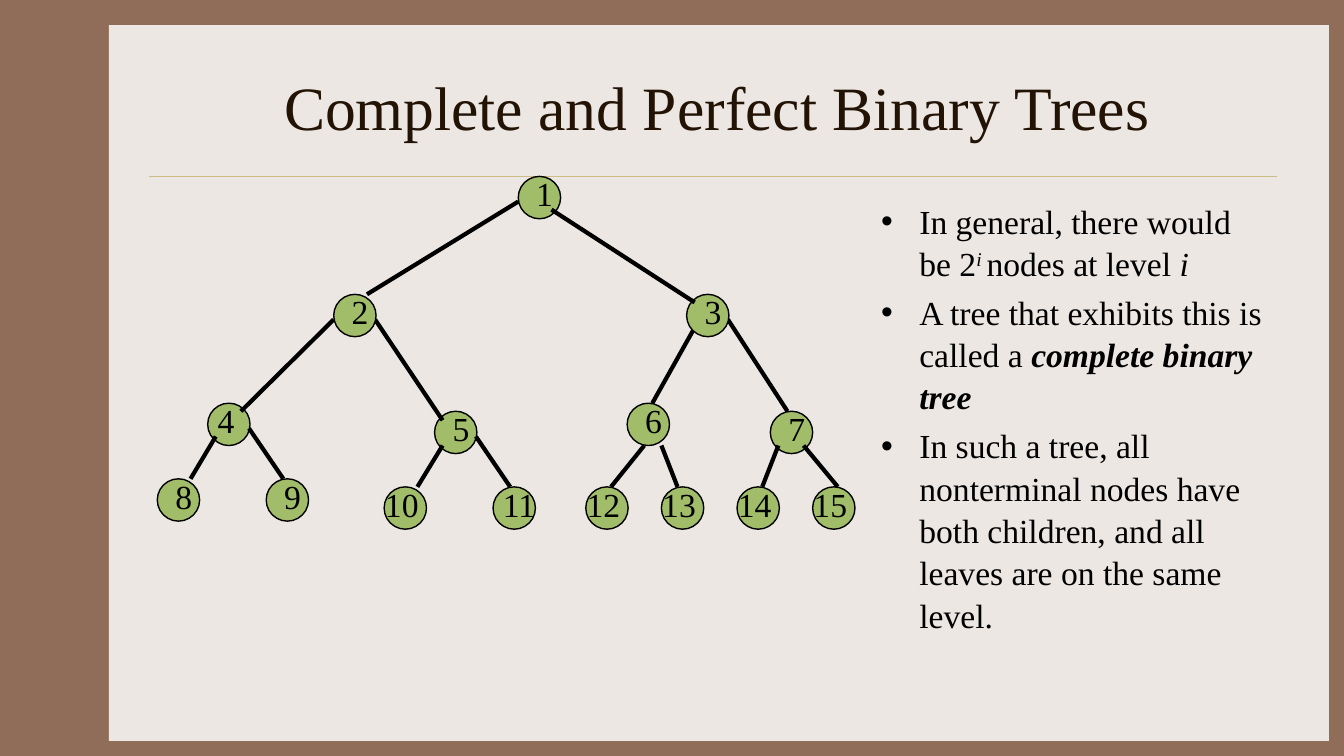
from lxml.etree import SubElement
from pptx import Presentation
from pptx.dml.color import RGBColor
from pptx.enum.shapes import MSO_CONNECTOR as LINE, MSO_SHAPE as SHAPE
from pptx.enum.text import MSO_ANCHOR as ANCHOR, PP_ALIGN as ALIGN
from pptx.oxml.ns import qn
from pptx.util import Inches, Pt

BROWN = RGBColor(0x90, 0x6D, 0x58)
CREAM = RGBColor(0xED, 0xE7, 0xE3)
GOLD = RGBColor(0xCB, 0xBD, 0x83)
DARK = RGBColor(0x22, 0x13, 0x04)
GREEN = RGBColor(0xA1, 0xBD, 0x69)
BLACK = RGBColor(0, 0, 0)
FONT = "Times New Roman"
SIZE = 0.42

# Left and top of each circle, by node number
NODES = {
    1: (5.14, 1.75), 2: (3.31, 2.92), 3: (6.81, 2.92),
    4: (2.06, 4), 5: (4.31, 4.08), 6: (6.22, 4), 7: (7.64, 4.08),
    8: (1.56, 4.75), 9: (2.64, 4.75), 10: (3.81, 4.83), 11: (4.89, 4.83),
    12: (5.81, 4.83), 13: (6.56, 4.83), 14: (7.31, 4.83), 15: (8.06, 4.83),
}
# Start and end of the edge that leads to each child node
EDGES = {
    2: (5.14, 2, 3.64, 2.92), 3: (5.47, 2.08, 6.89, 3),
    4: (3.31, 3.17, 2.39, 4.08), 5: (3.72, 3.17, 4.39, 4.17),
    6: (6.89, 3.25, 6.47, 4), 7: (7.22, 3.17, 7.81, 4.08),
    8: (2.14, 4.33, 1.89, 4.75), 9: (2.47, 4.25, 2.81, 4.75),
    10: (4.39, 4.42, 4.14, 4.83), 11: (4.72, 4.33, 5.06, 4.83),
    12: (6.39, 4.42, 6.06, 4.83), 13: (6.56, 4.42, 6.72, 4.83),
    14: (7.72, 4.42, 7.56, 4.83), 15: (7.97, 4.42, 8.31, 4.83),
}
# Bullets as runs of text and style
POINTS = [
    [("In general, there would be 2", ""), ("i ", "super"),
     ("nodes at level ", ""), ("i", "italic")],
    [("A tree that exhibits this is called a ", ""),
     ("complete binary tree", "bold")],
    [("In such a tree, all nonterminal nodes have both children, "
      "and all leaves are on the same level.", "")],
]

deck = Presentation()
deck.slide_width, deck.slide_height = Inches(13.33), Inches(7.5)
slide = deck.slides.add_slide(deck.slide_layouts[6])
slide.background.fill.solid()
slide.background.fill.fore_color.rgb = BROWN
shapes = slide.shapes


def add_line(ends, color, width):
    line = shapes.add_connector(LINE.STRAIGHT, *map(Inches, ends))
    line.line.color.rgb = color
    line.line.width = Pt(width)
    SubElement(line._element.spPr, qn("a:effectLst"))


def add_text(box, text, size=24, color=BLACK):
    """Add a wrapping text box and return its frame."""
    frame = shapes.add_textbox(*map(Inches, box)).text_frame
    frame.word_wrap = True
    frame.text = text
    font = frame.paragraphs[0].font
    font.name, font.size, font.color.rgb = FONT, Pt(size), color
    return frame


panel = shapes.add_shape(SHAPE.RECTANGLE, Inches(1.08), Inches(0.25),
                         Inches(12.1), Inches(7.1))
panel.shadow.inherit = False
panel.fill.solid()
panel.fill.fore_color.rgb = CREAM
panel.line.fill.background()
add_line((1.48, 1.75, 12.67, 1.75), GOLD, 0.25)

title = add_text((1.56, 0.42, 11.11, 1.25),
                 "Complete and Perfect Binary Trees", 44, DARK)
title.vertical_anchor = ANCHOR.MIDDLE
title.paragraphs[0].alignment = ALIGN.CENTER

body = add_text((8.64, 1.92, 4.03, 4.5), "")
for i, point in enumerate(POINTS):
    para = body.add_paragraph() if i else body.paragraphs[0]
    para.space_before = Pt(4.8)
    para.line_spacing = 1.05
    props = para._p.get_or_add_pPr()
    props.set("marL", str(Inches(0.38)))
    props.set("indent", str(-Inches(0.38)))
    SubElement(props, qn("a:buFont")).set("typeface", "Arial")
    SubElement(props, qn("a:buChar")).set("char", "•")
    for text, style in point:
        run = para.add_run()
        run.text = text
        font = run.font
        font.name, font.size, font.color.rgb = FONT, Pt(24), BLACK
        font.bold = style == "bold"
        font.italic = style != ""
        if style == "super":
            font._element.set("baseline", "30000")

# The top three circles cover the edges to the third level
for nodes, edges in ((range(4, 16), range(4, 8)),
                     (range(1, 4), (2, 3, *range(8, 16)))):
    for key in nodes:
        left, top = NODES[key]
        disc = shapes.add_shape(SHAPE.OVAL, Inches(left), Inches(top),
                                Inches(SIZE), Inches(SIZE))
        disc.shadow.inherit = False
        disc.fill.solid()
        disc.fill.fore_color.rgb = GREEN
        disc.line.color.rgb = BLACK
        disc.line.width = Pt(1)
    for key in edges:
        add_line(EDGES[key], BLACK, 3)

for key, (left, top) in NODES.items():
    shift, width = (0.08, 0.33) if key < 10 else (-0.09, 0.67)
    if key in (4, 11):
        shift = 0
    add_text((left + shift, top - 0.08, width, 0.5), str(key))

deck.save("out.pptx")
